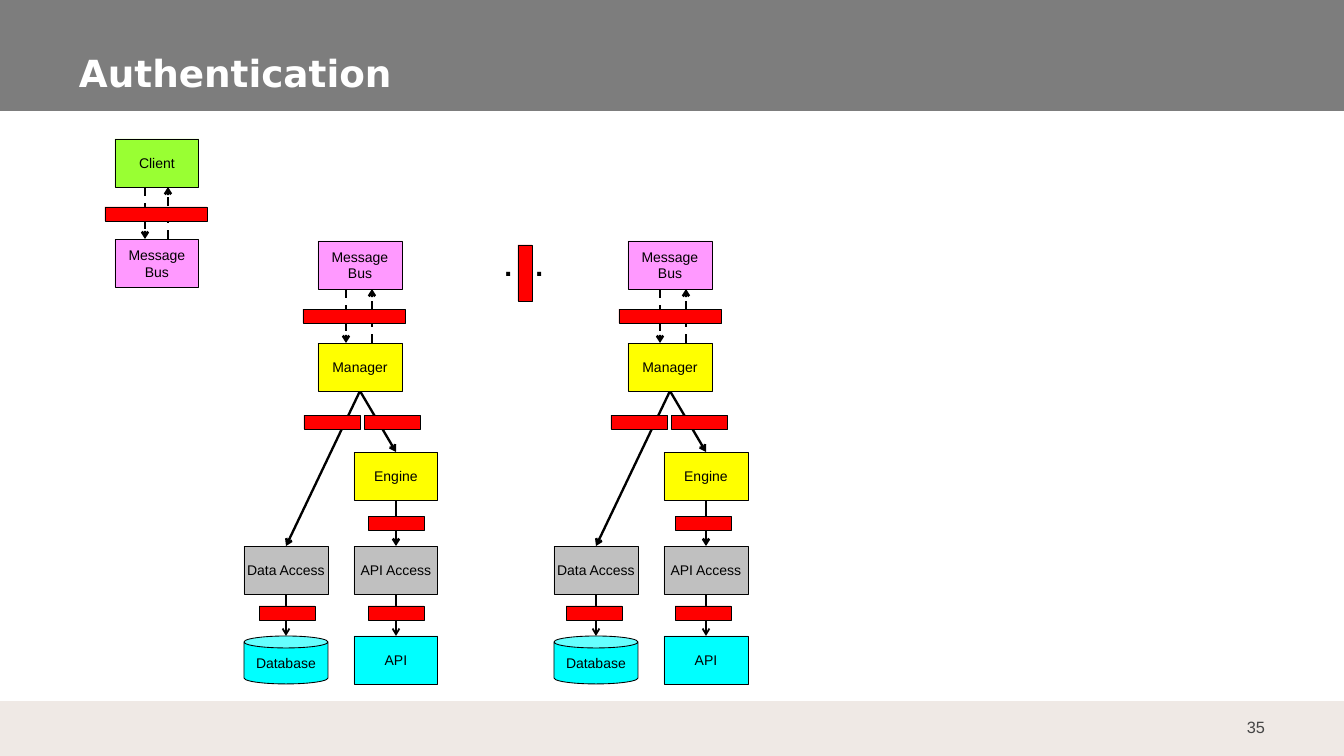
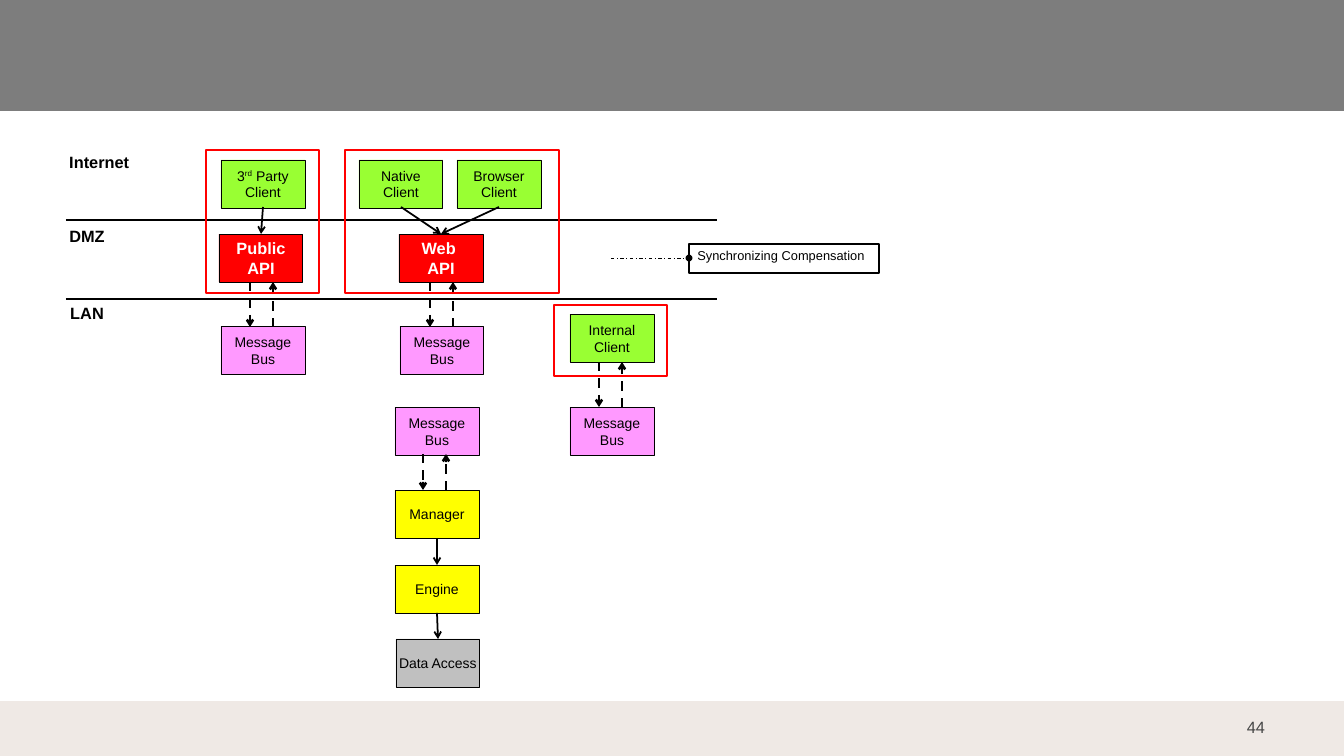
from pptx import Presentation
from pptx import util as u
from pptx.dml.color import RGBColor
from pptx.enum import dml, shapes, text
from pptx.oxml.ns import qn
from lxml import etree

BLACK = RGBColor(0x00, 0x00, 0x00)
WHITE = RGBColor(0xFF, 0xFF, 0xFF)
BAND_GRAY = RGBColor(0x7D, 0x7D, 0x7D)
FOOTER_BEIGE = RGBColor(0xEF, 0xE9, 0xE5)
NUMBER_GRAY = RGBColor(0x46, 0x46, 0x46)
CLIENT_GREEN = RGBColor(0x99, 0xFF, 0x33)
BUS_PINK = RGBColor(0xFF, 0x99, 0xFF)
LOGIC_YELLOW = RGBColor(0xFF, 0xFF, 0x00)
ACCESS_GRAY = RGBColor(0xC0, 0xC0, 0xC0)
RESOURCE_CYAN = RGBColor(0x00, 0xFF, 0xFF)
RED = RGBColor(0xFF, 0x00, 0x00)

BODY_FONT = "Arial"
TITLE_FONT = "DejaVu Sans"
NODE_W, NODE_H = 84, 48
BARRIER_H = 14
WIDE_BARRIER, SHORT_BARRIER = 102, 56
BUS = "Message\nBus"


def px(value):
    return round(value * u.Inches(1) / 84)


def write(frame, content, size, color=BLACK, bold=False, font=BODY_FONT,
          align=text.PP_ALIGN.LEFT):
    frame.text = content.replace("^", "")
    for paragraph, line in zip(frame.paragraphs, content.split("\n")):
        paragraph.alignment = align
        if "^" in line:
            paragraph.clear()
            for index, piece in enumerate(line.split("^")):
                run = paragraph.add_run()
                run.text = piece
                if index % 2:
                    run.font._element.set("baseline", "30000")
        for run in paragraph.runs:
            run.font.name = font
            run.font.size = u.Pt(size)
            run.font.bold = bold
            run.font.color.rgb = color


def add_box(slide, left, top, width, height, fill=None, line=None, weight=0.75,
            kind=shapes.MSO_SHAPE.RECTANGLE):
    box = slide.shapes.add_shape(kind, px(left), px(top), px(width), px(height))
    box.shadow.inherit = False
    if fill is None:
        box.fill.background()
    else:
        box.fill.solid()
        box.fill.fore_color.rgb = fill
    if line is None:
        box.line.fill.background()
    else:
        box.line.color.rgb = line
        box.line.width = u.Pt(weight)
    return box


def add_node(slide, content, left, top, fill, size=12, color=BLACK, bold=False,
             kind=shapes.MSO_SHAPE.RECTANGLE):
    node = add_box(slide, left, top, NODE_W, NODE_H, fill, BLACK, kind=kind)
    frame = node.text_frame
    frame.word_wrap = False
    frame.vertical_anchor = text.MSO_ANCHOR.MIDDLE
    write(frame, content, size, color, bold, align=text.PP_ALIGN.CENTER)


def add_label(slide, content, left, top, width, height, size, wrap=True, inset=None,
              anchor=text.MSO_ANCHOR.TOP, **style):
    label = slide.shapes.add_textbox(px(left), px(top), px(width), px(height))
    frame = label.text_frame
    frame.word_wrap = wrap
    frame.vertical_anchor = anchor
    if inset:
        frame.margin_left = frame.margin_right = px(inset)
        frame.margin_top = frame.margin_bottom = px(inset / 2)
    write(frame, content, size, **style)


def add_line(slide, start, end, weight=2, dash=None, tail=None):
    line = slide.shapes.add_connector(
        shapes.MSO_CONNECTOR.STRAIGHT, *map(px, start + end))
    line.line.color.rgb = BLACK
    line.line.width = u.Pt(weight)
    if dash:
        line.line.dash_style = dash
    properties = line._element.spPr
    if tail:
        etree.SubElement(properties.find(qn("a:ln")), qn("a:tailEnd"), type=tail)
    etree.SubElement(properties, qn("a:effectLst"))


def add_arrow(slide, start, end, weight=1.5, dash=None):
    add_line(slide, start, end, weight, dash, "arrow")


def add_exchange(slide, down_x, up_x, top, bottom):
    dash = dml.MSO_LINE.DASH
    add_arrow(slide, (down_x, top), (down_x, bottom), 2, dash)
    add_arrow(slide, (up_x, bottom), (up_x, top), 2, dash)


def add_barrier(slide, left, top, width=SHORT_BARRIER, height=BARRIER_H):
    add_box(slide, left, top, width, height, RED, BLACK, 0.25)


def add_slide(deck, number):
    slide = deck.slides.add_slide(deck.slide_layouts[6])
    add_box(slide, -2, 0, 1348, 111, BAND_GRAY)
    add_box(slide, 0, 701, 1344, 55, FOOTER_BEIGE)
    add_label(slide, number, 1210, 707, 67, 40, 14, inset=12, color=NUMBER_GRAY,
              anchor=text.MSO_ANCHOR.MIDDLE, align=text.PP_ALIGN.RIGHT)
    return slide


def add_service(slide, left, exchange_left, bus_barrier_left, barriers_left):
    data_x, manager_x, engine_x = left, left + 74, left + 110
    half = NODE_W / 2
    data_mid, manager_mid, engine_mid = data_x + half, manager_x + half, engine_x + half
    for target in ((engine_mid, 452), (data_mid, 546)):
        add_arrow(slide, (manager_mid, 391), target, 2)
    add_arrow(slide, (engine_mid, 500), (engine_mid, 546), 2)
    for middle in (data_mid, engine_mid):
        add_arrow(slide, (middle, 594), (middle, 636))
    add_exchange(slide, exchange_left, exchange_left + 26, 289, 343)

    add_node(slide, BUS, manager_x, 241, BUS_PINK)
    add_node(slide, "Manager", manager_x, 343, LOGIC_YELLOW)
    add_node(slide, "Engine", engine_x, 452, LOGIC_YELLOW)
    add_node(slide, "Data Access", data_x, 546, ACCESS_GRAY)
    add_node(slide, "API Access", engine_x, 546, ACCESS_GRAY)
    add_node(slide, "Database", data_x, 636, RESOURCE_CYAN, kind=shapes.MSO_SHAPE.CAN)
    add_node(slide, "API", engine_x, 636, RESOURCE_CYAN)

    add_barrier(slide, bus_barrier_left, 309, WIDE_BARRIER)
    for offset, top in ((45, 415), (105, 415), (0, 606), (109, 516), (109, 606)):
        add_barrier(slide, barriers_left + offset, top)


def build_authentication(deck):
    slide = add_slide(deck, "35")
    add_label(slide, "Authentication", 67, 39, 1194, 62, 32, inset=12, color=WHITE,
              bold=True, font=TITLE_FONT, anchor=text.MSO_ANCHOR.BOTTOM)
    add_node(slide, "Client", 115, 139, CLIENT_GREEN)
    add_exchange(slide, 145, 168, 187, 239)
    add_node(slide, BUS, 115, 239, BUS_PINK)
    add_barrier(slide, 105, 207, WIDE_BARRIER)
    add_service(slide, 244, 346, 303, 259)
    add_service(slide, 554, 660, 619, 566)
    add_label(slide, ". . .", 496, 244, 62, 42, 24, bold=True)
    add_barrier(slide, 518, 245, BARRIER_H, SHORT_BARRIER)


def build_zones(deck):
    slide = add_slide(deck, "44")
    for zone, left, top, width in (
            ("Internet", 61, 148, 77), ("DMZ", 61, 222, 53), ("LAN", 62, 299, 51)):
        add_label(slide, zone, left, top, width, 29, 14, wrap=False, bold=True)
    for boundary in (220, 299):
        add_line(slide, (66, boundary), (717, boundary))

    for content, left, top, fill in (
            ("3^rd^ Party\nClient", 221, 160, CLIENT_GREEN),
            ("Native\nClient", 359, 160, CLIENT_GREEN),
            ("Browser\nClient", 457, 160, CLIENT_GREEN),
            ("Internal\nClient", 570, 314, CLIENT_GREEN),
            (BUS, 221, 326, BUS_PINK),
            (BUS, 400, 326, BUS_PINK),
            (BUS, 570, 407, BUS_PINK),
            (BUS, 395, 407, BUS_PINK),
            ("Manager", 395, 490, LOGIC_YELLOW),
            ("Engine", 395, 565, LOGIC_YELLOW),
            ("Data Access", 396, 639, ACCESS_GRAY)):
        add_node(slide, content, left, top, fill)
    for gateway, left in (("Public\nAPI", 219), ("Web \nAPI", 399)):
        add_node(slide, gateway, left, 234, RED, 14, WHITE, True)

    for start, end in (
            ((263, 207), (261, 234)), ((401, 207), (441, 234)),
            ((499, 207), (441, 234)), ((437, 538), (437, 565)),
            ((437, 613), (438, 639))):
        add_arrow(slide, start, end)
    for down_x, top, bottom in (
            (250, 282, 327), (430, 282, 327), (599, 362, 407), (423, 454, 490)):
        add_exchange(slide, down_x, down_x + 23, top, bottom)
    for left, top, width, height in (
            (206, 150, 113, 143), (345, 150, 214, 143), (554, 305, 113, 71)):
        add_box(slide, left, top, width, height, line=RED, weight=1.5)

    compensation = add_box(slide, 689, 244, 190, 29, WHITE, BLACK, 1)
    compensation.text_frame.vertical_anchor = text.MSO_ANCHOR.TOP
    write(compensation.text_frame, "Synchronizing Compensation", 11)
    add_line(slide, (611, 258), (689, 258), 0.75, dml.MSO_LINE.DASH_DOT, "oval")


def main():
    deck = Presentation()
    deck.slide_width, deck.slide_height = px(1344), px(756)
    build_authentication(deck)
    build_zones(deck)
    deck.save("out.pptx")


if __name__ == "__main__":
    main()
